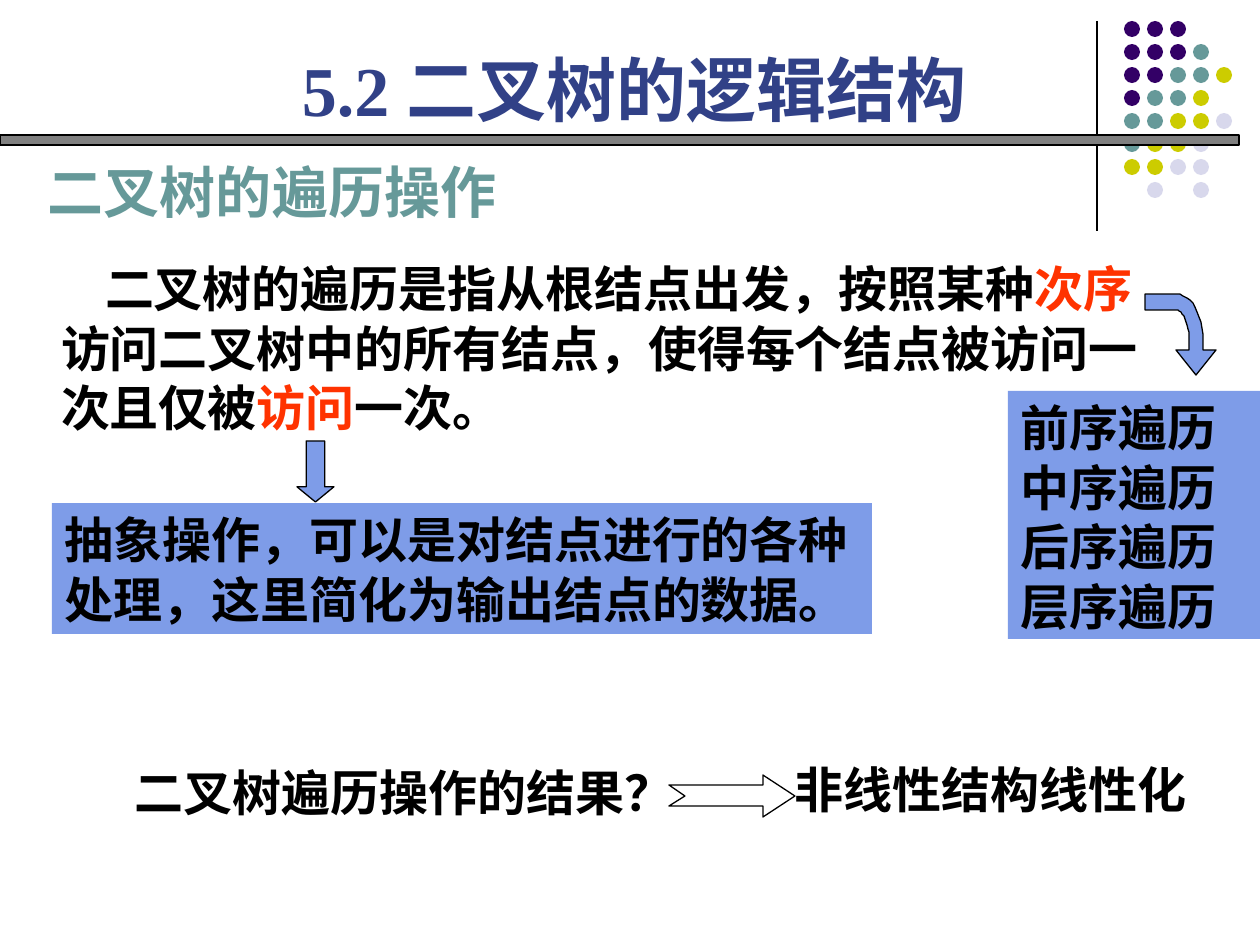
from typing import NamedTuple

from lxml.etree import SubElement
from pptx import Presentation
from pptx.dml.color import RGBColor
from pptx.enum.shapes import MSO_CONNECTOR as Connector, MSO_SHAPE as Preset
from pptx.enum.text import MSO_ANCHOR as Anchor, PP_ALIGN as Align
from pptx.oxml.ns import qn
from pptx.util import Inches, Pt

PX = Inches(1) / 126
SERIF, SANS = "Times New Roman", "Noto Sans CJK SC"

BLACK = RGBColor(0x00, 0x00, 0x00)
GRAY = RGBColor(0x80, 0x80, 0x80)
NAVY = RGBColor(0x31, 0x41, 0x87)
RED = RGBColor(0xFF, 0x33, 0x00)
BLUE = RGBColor(0x7E, 0x9C, 0xE8)
PURPLE = RGBColor(0x33, 0x00, 0x66)
TEAL = RGBColor(0x66, 0x99, 0x99)
YELLOW = RGBColor(0xCC, 0xCC, 0x00)
LILAC = RGBColor(0xD8, 0xD8, 0xEC)


class Box(NamedTuple):
    left: int
    top: int
    width: int
    height: int


class Piece(NamedTuple):
    text: str
    color: RGBColor = BLACK
    font: str = SERIF


Point = tuple[int, int]


def px(value: float) -> int:
    return round(value * PX)


def paint(shape, fill: RGBColor | None, outlined: bool):
    shape.shadow.inherit = False
    if fill is None:
        shape.fill.background()
    else:
        shape.fill.solid()
        shape.fill.fore_color.rgb = fill
    if outlined:
        shape.line.color.rgb = BLACK
        shape.line.width = Pt(0.75)
    else:
        shape.line.fill.background()
    return shape


def add_preset(slide, preset, box: Box, fill: RGBColor, outlined: bool = False):
    shape = slide.shapes.add_shape(preset, *map(px, box))
    return paint(shape, fill, outlined)


def add_outline(slide, points: list[Point], fill: RGBColor | None = None):
    builder = slide.shapes.build_freeform(*points[0], scale=PX)
    builder.add_line_segments(points[1:], close=True)
    return paint(builder.convert_to_shape(), fill, outlined=True)


def curve(a: Point, b: Point, c: Point, d: Point, steps: int = 12) -> list[Point]:
    """Points along a cubic curve from a to d."""
    def at(t: float, axis: int) -> float:
        u = 1 - t
        return (u**3 * a[axis] + 3 * u * u * t * b[axis]
                + 3 * u * t * t * c[axis] + t**3 * d[axis])
    return [(at(i / steps, 0), at(i / steps, 1)) for i in range(steps + 1)]


def add_text_shadow(run) -> None:
    effects = SubElement(run.font._element, qn("a:effectLst"))
    shadow = SubElement(effects, qn("a:outerShdw"), dist="12700", dir="2700000")
    SubElement(shadow, qn("a:srgbClr"), val=str(GRAY))


def add_text(slide, box: Box, paragraphs: list[list[Piece]], *, size: int = 28,
             pitch: int = 34, fill: RGBColor | None = None, inset: int = 13,
             indent: int = 0, align=Align.LEFT, shadowed: bool = False) -> None:
    if fill is None:
        holder = slide.shapes.add_textbox(*map(px, box))
    else:
        holder = add_preset(slide, Preset.RECTANGLE, box, fill)
    frame = holder.text_frame
    frame.word_wrap = True
    frame.vertical_anchor = Anchor.TOP
    frame.margin_left = frame.margin_right = px(inset)
    frame.margin_top = frame.margin_bottom = Inches(0.05)
    for index, pieces in enumerate(paragraphs):
        paragraph = frame.add_paragraph() if index else frame.paragraphs[0]
        paragraph.alignment = align
        paragraph.line_spacing = Pt(pitch)
        if indent:
            paragraph._p.get_or_add_pPr().set("indent", str(px(indent)))
        for piece in pieces:
            run = paragraph.add_run()
            run.text = piece.text
            run.font.size = Pt(size)
            run.font.bold = True
            run.font.color.rgb = piece.color
            if shadowed:
                add_text_shadow(run)
            run.font.name = piece.font
            SubElement(run.font._element, qn("a:ea"), typeface=SANS)


# Dot pattern: one letter per dot, one string per row
DOT_COLORS = {"P": PURPLE, "T": TEAL, "Y": YELLOW, "L": LILAC}
DOT_ROWS = ["PPP", "PPPT", "PPTTY", "PTTY", "TTYYL", "TYYL", "YYLL", ".L.L"]
DOT_LEFT, DOT_TOP, DOT_STEP, DOT_SIZE = 1124, 21, 23, 16


def draw_background(slide) -> None:
    rule = slide.shapes.add_connector(
        Connector.STRAIGHT, px(1097), px(21), px(1097), px(231))
    rule.line.color.rgb = BLACK
    rule.line.width = Pt(0.75)
    SubElement(rule._element.spPr, qn("a:effectLst"))
    for row, letters in enumerate(DOT_ROWS):
        for column, letter in enumerate(letters):
            if letter in DOT_COLORS:
                dot = Box(DOT_LEFT + column * DOT_STEP, DOT_TOP + row * DOT_STEP,
                          DOT_SIZE, DOT_SIZE)
                add_preset(slide, Preset.OVAL, dot, DOT_COLORS[letter])
    add_preset(slide, Preset.RECTANGLE, Box(0, 135, 1239, 10), GRAY, outlined=True)


def main() -> None:
    deck = Presentation()
    deck.slide_width, deck.slide_height = Inches(10), Inches(7.5)
    slide = deck.slides.add_slide(deck.slide_layouts[6])
    draw_background(slide)

    # Headings
    add_text(slide, Box(289, 40, 804, 97), [[Piece("5.2 二叉树的逻辑结构", NAVY)]],
             size=40, pitch=48, align=Align.JUSTIFY)
    add_text(slide, Box(35, 150, 746, 81), [[Piece("二叉树的遍历操作", TEAL, SANS)]],
             size=32, pitch=39, shadowed=True)

    # Definition of traversal
    add_text(slide, Box(48, 252, 1115, 189), [[
        Piece("二叉树的遍历是指从根结点出发，按照某种"),
        Piece("次序", RED),
        Piece("访问二叉树中的所有结点，使得每个结点被访问一次且仅被"),
        Piece("访问", RED),
        Piece("一次。"),
    ]], indent=44)

    # What a visit means
    add_text(slide, Box(52, 503, 820, 131), [[
        Piece("抽象操作，"),
        Piece("可以是对结点进行的各种处理，这里", font=SANS),
        Piece("简化为输出结点的数据。"),
    ]], fill=BLUE)
    visit_arrow = add_preset(slide, Preset.DOWN_ARROW, Box(297, 441, 37, 61), BLUE,
                             outlined=True)
    visit_arrow.adjustments[1] = 0.41

    # Traversal orders
    orders = ["前序遍历", "中序遍历", "后序遍历", "层序遍历"]
    add_text(slide, Box(1008, 391, 252, 248), [[Piece(order)] for order in orders],
             fill=BLUE)
    add_outline(slide, [
        (1196, 375), (1216, 350), (1203, 350),
        *curve((1203, 340), (1203, 314), (1191, 294), (1176, 294)),
        (1145, 294), (1145, 310),
        *curve((1176, 310), (1183, 310), (1189, 324), (1189, 340)),
        (1189, 350), (1176, 350),
    ], BLUE)

    # Result of traversal
    add_text(slide, Box(122, 756, 630, 72), [[Piece("二叉树遍历操作的结果？")]])
    add_outline(slide, [(669, 785), (763, 785), (763, 775), (795, 796),
                        (763, 817), (763, 806), (669, 806), (685, 796)])
    add_text(slide, Box(795, 753, 462, 72), [[Piece("非线性结构线性化")]], inset=0)

    deck.save("out.pptx")


if __name__ == "__main__":
    main()
